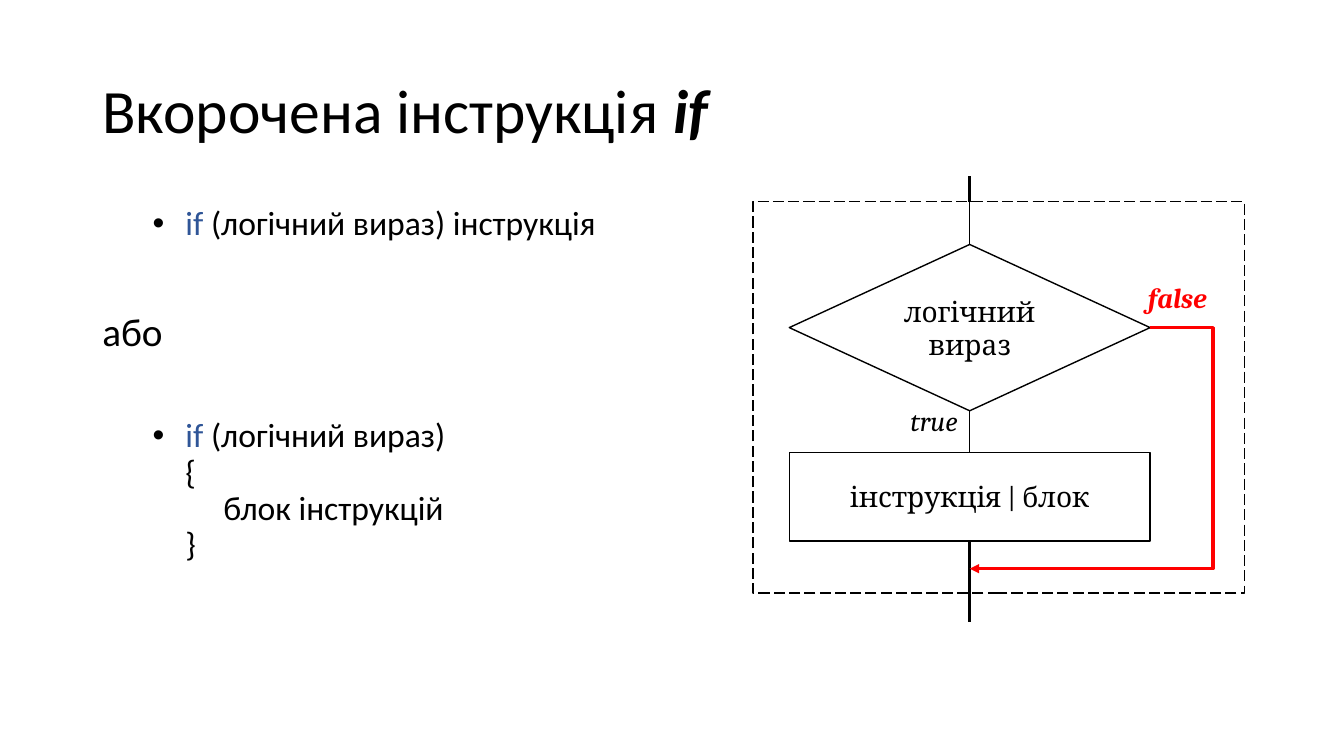
from pptx import Presentation
from pptx import util as u
from pptx.dml.color import RGBColor
from pptx.enum import dml, shapes, text
from pptx.oxml.ns import qn

THEME = {
    "ink": RGBColor(0, 0, 0), "paper": RGBColor(255, 255, 255),
    "key": RGBColor(0x2F, 0x55, 0x97), "skip": RGBColor(255, 0, 0),
    "sans": "Calibri", "serif": "Cambria",
    "title": 44, "body": 28, "code": 24, "chart": 20,
    "thin": 1, "thick": 2.25,
}

deck = Presentation()
deck.slide_width, deck.slide_height = u.Inches(13.333), u.Inches(7.5)
slide = deck.slides.add_slide(deck.slide_layouts[6])
CELL = deck.slide_height / 90  # grid of 160 columns by 90 rows


def grid(*cells):
    return [round(c * CELL) for c in cells]


def write(par, words, size, face="sans", ink="ink", bold=False, slant=False):
    run = par.add_run()
    run.text = words
    font = run.font
    font.name, font.size = THEME[face], u.Pt(THEME[size])
    font.color.rgb = THEME[ink]
    font.bold, font.italic = bold, slant


# Title
frame = slide.shapes.add_textbox(*grid(11, 4.8, 138, 17.4)).text_frame
frame.word_wrap = True
frame.vertical_anchor = text.MSO_ANCHOR.MIDDLE
par = frame.paragraphs[0]
par.line_spacing = 0.9
write(par, "Вкорочена інструкція ", "title")
write(par, "if", "title", bold=True, slant=True)

# Syntax: keyword, rest, size, space before in points, left margin in cells
LINES = [
    ("if ", "(логічний вираз) інструкція", "code", 5, 9.9),
    ("", "або", "body", 50, 0),
    ("if ", "(логічний вираз)", "code", 45.5, 9.9),
    ("", "{", "code", 0, 9.9),
    ("", "блок інструкцій", "code", 0, 14.4),
    ("", "}", "code", 0, 9.9),
]
frame = slide.shapes.add_textbox(*grid(11, 24, 65.4, 57.1)).text_frame
frame.word_wrap = True
for i, (key, rest, size, gap, left) in enumerate(LINES):
    par = frame.add_paragraph() if i else frame.paragraphs[0]
    par.line_spacing, par.space_before = 0.9, u.Pt(gap)
    props = par._p.get_or_add_pPr()
    props.set("marL", str(grid(left)[0]))
    if key:
        props.set("indent", str(grid(-3.9)[0]))
        tint = props.makeelement(qn("a:buClr"), {})
        tint.append(tint.makeelement(qn("a:srgbClr"), {"val": str(THEME["ink"])}))
        font = props.makeelement(qn("a:buFont"), {"typeface": "Arial"})
        dot = props.makeelement(qn("a:buChar"), {"char": "•"})
        props.extend([tint, font, dot])
        write(par, key, size, ink="key")
    write(par, rest, size)

# Flowchart blocks: kind, place, label
AXIS, LEFT, WIDE = 115.44, 93.96, 42.96
TOP, TEST, TASK, BASE = 24, 29.1, 53.84, 70.6
TEST_H, TASK_H = 19.8, 10.56
RECT = shapes.MSO_SHAPE.RECTANGLE
BLOCKS = [
    (RECT, (89.64, TOP, 58.5, BASE - TOP), ""),
    (shapes.MSO_SHAPE.FLOWCHART_DECISION, (LEFT, TEST, WIDE, TEST_H), "логічний вираз"),
    (RECT, (LEFT, TASK, WIDE, TASK_H), "інструкція | блок"),
]
for kind, place, label in BLOCKS:
    block = slide.shapes.add_shape(kind, *grid(*place))
    block.shadow.inherit = False
    block.fill.solid()
    block.fill.fore_color.rgb = THEME["paper"]
    block.line.color.rgb = THEME["ink"]
    block.line.width = u.Pt(THEME["thin"])
    if not label:
        block.line.dash_style = dml.MSO_LINE.LONG_DASH
        continue
    frame = block.text_frame
    frame.word_wrap = True
    frame.vertical_anchor = text.MSO_ANCHOR.MIDDLE
    frame.margin_left = frame.margin_right = 0
    frame.margin_top = frame.margin_bottom = 0
    par = frame.paragraphs[0]
    par.alignment = text.PP_ALIGN.CENTER
    write(par, label, "chart", "serif")

# Flow along the axis: start row, end row, weight
FLOW = [
    (21, TOP, "thick"), (TOP, TEST, "thin"),
    (TEST + TEST_H, TASK, "thin"), (TASK + TASK_H, 74, "thick"),
]
for start, end, weight in FLOW:
    line = slide.shapes.add_connector(
        shapes.MSO_CONNECTOR.STRAIGHT, *grid(AXIS, start, AXIS, end))
    line.line.color.rgb = THEME["ink"]
    line.line.width = u.Pt(THEME[weight])
    props = line._element.spPr
    props.append(props.makeelement(qn("a:effectLst"), {}))

# Bypass taken when the test fails
SIDE, MID, JOIN = 144.4, TEST + TEST_H / 2, 67.7
pen = slide.shapes.build_freeform(*grid(LEFT + WIDE, MID))
turns = [(SIDE, MID), (SIDE, JOIN), (AXIS, JOIN)]
pen.add_line_segments([grid(*turn) for turn in turns], close=False)
skip = pen.convert_to_shape()
skip.shadow.inherit = False
skip.fill.background()
skip.line.color.rgb = THEME["skip"]
skip.line.width = u.Pt(THEME["thick"])
edge = skip.line._get_or_add_ln()
edge.append(edge.makeelement(qn("a:tailEnd"), {"type": "triangle"}))

# Branch labels, with room to stay on one line
for label, place, ink, bold in [
    ("false", (135.5, 32.8, 12, 4.9), "skip", True),
    ("true", (107.2, 47.4, 12, 5.5), "ink", False),
]:
    frame = slide.shapes.add_textbox(*grid(*place)).text_frame
    frame.word_wrap = True
    write(frame.paragraphs[0], label, "chart", "serif", ink, bold, True)

deck.save("out.pptx")
